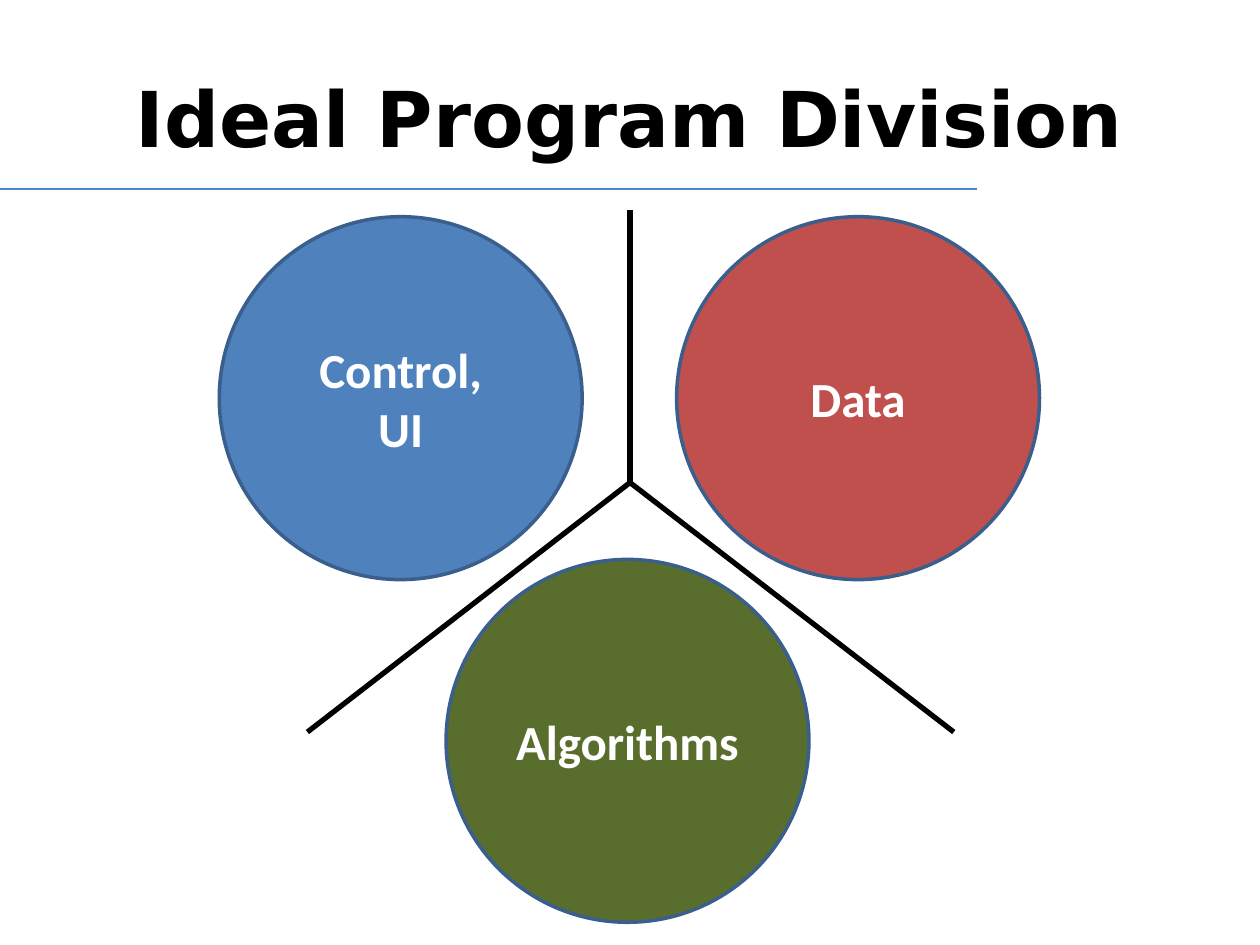
import pptx
import pptx.dml.color
import pptx.enum.shapes
import pptx.enum.text
import pptx.oxml.ns
import pptx.util
from lxml import etree

Inches = pptx.util.Inches
Pt = pptx.util.Pt

TITLE = "Ideal Program Division"
DIAMETER = 2.88
PARTS = [
    (["Control,", "UI"], 1.74, 1.72, "4F81BD"),
    (["Data"], 5.37, 1.72, "C0504D"),
    (["Algorithms"], 3.54, 4.44, "596E2D"),
]
HUB = (5, 3.83)
DIVIDER_ENDS = [(5, 1.67), (7.57, 5.81), (2.44, 5.81)]


def color(hex_value):
    return pptx.dml.color.RGBColor.from_string(hex_value)


def add_line(shapes, start, end, hex_value, width):
    line = shapes.add_connector(
        pptx.enum.shapes.MSO_CONNECTOR.STRAIGHT, *map(Inches, start + end)
    )
    line.line.color.rgb = color(hex_value)
    line.line.width = Pt(width)
    etree.SubElement(line._element.spPr, pptx.oxml.ns.qn("a:effectLst"))


def write(frame, lines, font_name, size, hex_value):
    frame.word_wrap = True
    frame.vertical_anchor = pptx.enum.text.MSO_ANCHOR.MIDDLE
    for index, text in enumerate(lines):
        paragraph = frame.add_paragraph() if index else frame.paragraphs[0]
        paragraph.alignment = pptx.enum.text.PP_ALIGN.CENTER
        run = paragraph.add_run()
        run.text = text
        run.font.name = font_name
        run.font.size = Pt(size)
        run.font.bold = True
        run.font.color.rgb = color(hex_value)


def add_part(shapes, lines, left, top, fill):
    circle = shapes.add_shape(
        pptx.enum.shapes.MSO_SHAPE.OVAL,
        *map(Inches, (left, top, DIAMETER, DIAMETER)),
    )
    circle.shadow.inherit = False
    circle.fill.solid()
    circle.fill.fore_color.rgb = color(fill)
    circle.line.color.rgb = color("3A5F8C")
    circle.line.width = Pt(2)
    write(circle.text_frame, lines, "Calibri", 28, "FFFFFF")


def main():
    deck = pptx.Presentation()
    deck.slide_width, deck.slide_height = Inches(10), Inches(7.5)
    slide = deck.slides.add_slide(deck.slide_layouts[5])
    shapes = slide.shapes

    title = shapes.title
    title.left, title.top, title.width, title.height = map(Inches, (0.5, 0.3, 9, 1.25))
    write(title.text_frame, [TITLE], "DejaVu Sans", 44, "000000")
    add_line(shapes, (0, 1.5), (7.75, 1.5), "4A86C8", 1)

    for part in PARTS:
        add_part(shapes, *part)

    dividers = shapes.add_group_shape()
    for end in DIVIDER_ENDS:
        add_line(dividers.shapes, HUB, end, "000000", 3)

    deck.save("out.pptx")


if __name__ == "__main__":
    main()
